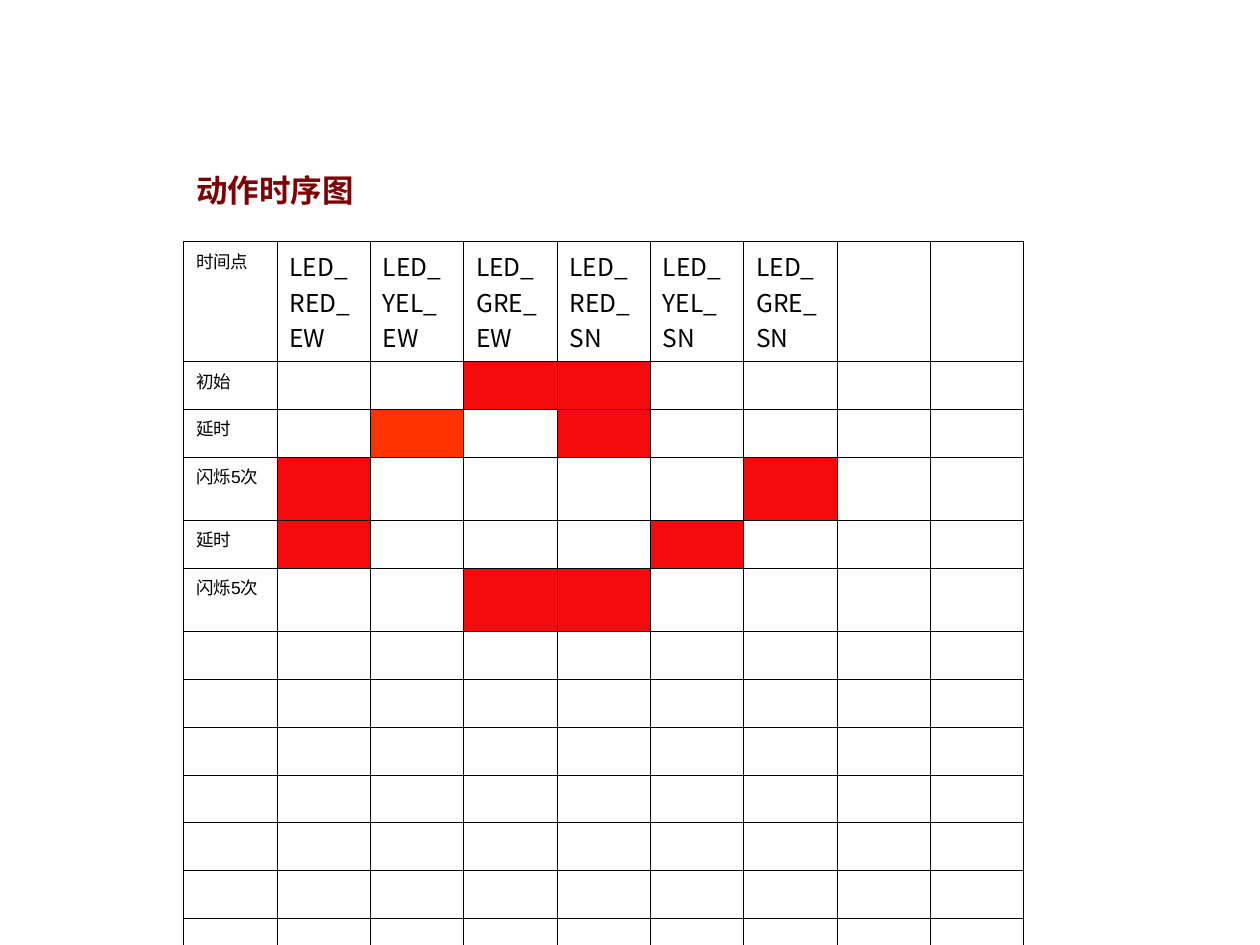
import pptx
import pptx.dml.color
import pptx.enum.text
import pptx.oxml.ns
import pptx.util
from lxml import etree
from pptx.util import Cm, Pt

COLORS = {"ink": "000000", "title": "800000", "on": "F50B0B", "amber": "FF3300"}
HEADERS = ["时间点", "LED_RED_EW", "LED_YEL_EW", "LED_GRE_EW",
           "LED_RED_SN", "LED_YEL_SN", "LED_GRE_SN"]
# Step name and the lamps lit in it, by column
STEPS = [
    ("初始", {3: "on", 4: "on"}),
    ("延时", {2: "amber", 4: "on"}),
    ("闪烁5次", {1: "on", 6: "on"}),
    ("延时", {1: "on", 5: "on"}),
    ("闪烁5次", {3: "on", 4: "on"}),
]
ROWS, COLS = 17, 9
HEADER_H, ROW_H, TALL_H = Cm(2.42), Cm(0.965), Cm(1.27)
RULE = Pt(0.45)


def rgb(name):
    return pptx.dml.color.RGBColor.from_string(COLORS[name])


def add_run(p, text, size, font, color="ink", bold=False):
    r = p.add_run()
    r.text = text
    r.font.size = Pt(size)
    r.font.name = font
    r.font.bold = bold
    r.font.color.rgb = rgb(color)


def size_empty_cell(cell):
    """Keep the empty paragraph smaller than its row, so the row does not grow."""
    cell.text_frame.paragraphs[0]._p.get_or_add_endParaRPr().set("sz", "1000")


def set_borders(cell):
    qn = pptx.oxml.ns.qn
    tcPr = cell._tc.get_or_add_tcPr()
    for side in "LRTB":
        ln = etree.SubElement(tcPr, qn(f"a:ln{side}"), w=str(RULE))
        fill = etree.SubElement(ln, qn("a:solidFill"))
        etree.SubElement(fill, qn("a:srgbClr"), val=COLORS["ink"])


def add_title(s, left, top, width, height):
    sp = s.shapes.title
    sp.left, sp.top, sp.width, sp.height = left, top, width, height
    tf = sp.text_frame
    tf.word_wrap = True
    tf.auto_size = pptx.enum.text.MSO_AUTO_SIZE.SHAPE_TO_FIT_TEXT
    tf.vertical_anchor = pptx.enum.text.MSO_ANCHOR.TOP
    p = tf.paragraphs[0]
    p.alignment = pptx.enum.text.PP_ALIGN.LEFT
    add_run(p, "动作时序图", 18, "Arial", "title", True)


def add_timing_table(s, left, top, width):
    heights = [HEADER_H] + [TALL_H if len(name) > 2 else ROW_H for name, _ in STEPS]
    heights += [ROW_H] * (ROWS - len(heights))
    table = s.shapes.add_table(ROWS, COLS, left, top, width, sum(heights)).table
    table.first_row = table.horz_banding = False
    for column in table.columns:
        column.width = width // COLS

    texts = {(0, c): text for c, text in enumerate(HEADERS)}
    lamps = {}
    for i, (name, lit) in enumerate(STEPS, 1):
        texts[i, 0] = name
        lamps.update({(i, c): color for c, color in lit.items()})

    for i, height in enumerate(heights):
        table.rows[i].height = height
        for c in range(COLS):
            cell = table.cell(i, c)
            set_borders(cell)
            if (i, c) in lamps:
                cell.fill.solid()
                cell.fill.fore_color.rgb = rgb(lamps[i, c])
            else:
                cell.fill.background()
            if (i, c) in texts:
                size, font = (10, "Arial") if c == 0 else (14, "Noto Sans CJK SC")
                add_run(cell.text_frame.paragraphs[0], texts[i, c], size, font)
            else:
                size_empty_cell(cell)


def main():
    prs = pptx.Presentation()
    prs.slide_width, prs.slide_height = Cm(25.4), Cm(19.05)
    s = prs.slides.add_slide(prs.slide_layouts.get_by_name("Title Only"))
    left = Cm(3.7)
    add_timing_table(s, left, Cm(4.87), Cm(16.94))
    add_title(s, left, Cm(3.33), Cm(3.99), Cm(1.02))
    prs.save("out.pptx")


if __name__ == "__main__":
    main()
